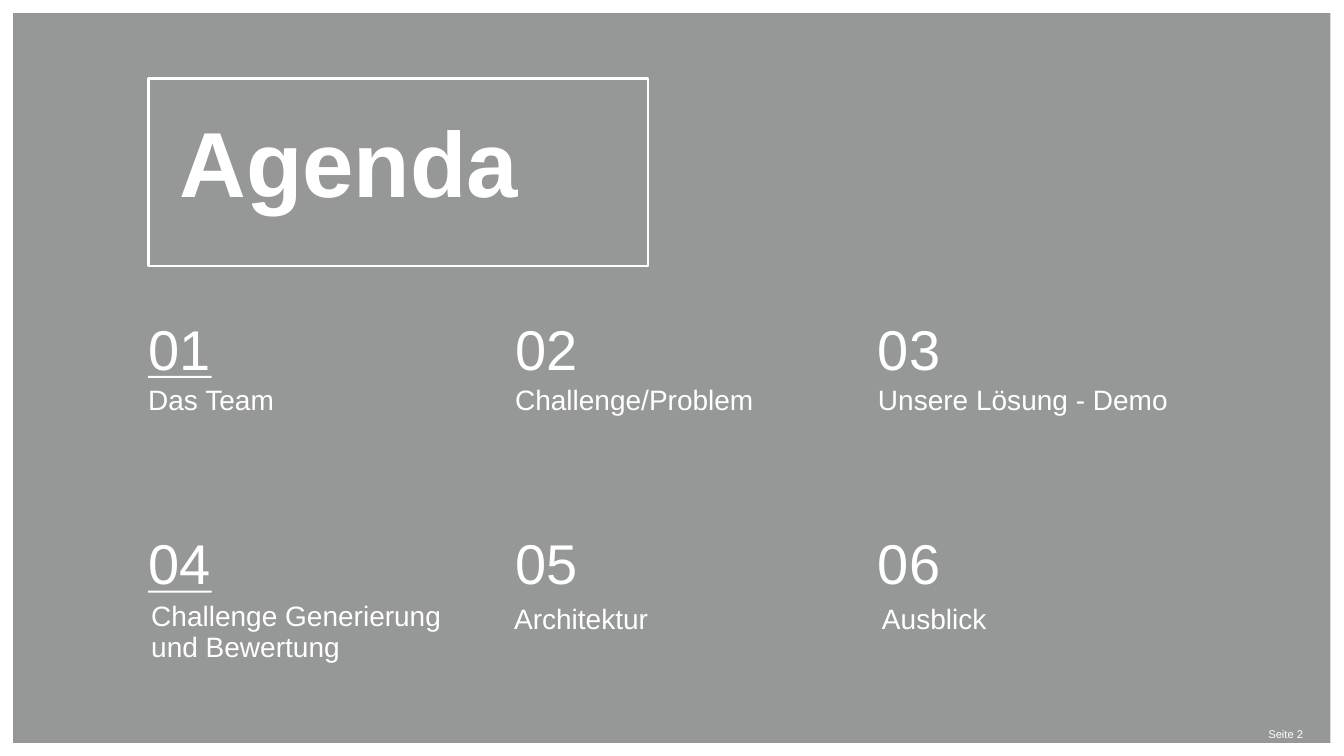
import pptx
import pptx.util
import pptx.dml.color
import pptx.enum.shapes
import pptx.enum.text
from dataclasses import dataclass

Pt = pptx.util.Pt
Align = pptx.enum.text.PP_ALIGN
Anchor = pptx.enum.text.MSO_ANCHOR


@dataclass(frozen=True)
class Theme:
    font: str = "Arial"
    grey: str = "969797"
    white: str = "FFFFFF"
    title: int = 66
    number: int = 40
    label: int = 20
    footer: int = 8


THEME = Theme()

# Grid of the agenda
COLS = (105.84, 367.92, 627.12)
ROWS = (230.4, 383.04)
WIDTH = 226.8

# Number, column, row, label, label left, label top
ITEMS = (
    ("01", 0, 0, "Das Team", 105.84, 275.76),
    ("02", 1, 0, "Challenge/Problem", 367.92, 275.76),
    ("03", 2, 0, "Unsere Lösung - Demo", 627.12, 275.76),
    ("04", 0, 1, "Challenge Generierung und Bewertung", 108, 430.56),
    ("05", 1, 1, "Architektur", 367.2, 432),
    ("06", 2, 1, "Ausblick", 630, 432),
)
RULES = (268.56, 421.92)


def color(code):
    return pptx.dml.color.RGBColor.from_string(code)


def add_rect(slide, left, top, width, height, fill=None, line=None):
    kind = pptx.enum.shapes.MSO_SHAPE.RECTANGLE
    rect = slide.shapes.add_shape(kind, Pt(left), Pt(top), Pt(width), Pt(height))
    rect.shadow.inherit = False
    if fill:
        rect.fill.solid()
        rect.fill.fore_color.rgb = color(fill)
    else:
        rect.fill.background()
    if line:
        rect.line.color.rgb = color(line)
        rect.line.width = Pt(2)
    else:
        rect.line.fill.background()
    return rect


def put_text(shape, text, size, bold=False, align=Align.LEFT,
             anchor=Anchor.TOP, pad=(0, 0), space=0.9):
    frame = shape.text_frame
    frame.word_wrap = True
    frame.vertical_anchor = anchor
    frame.margin_left = frame.margin_right = Pt(pad[0])
    frame.margin_top = frame.margin_bottom = Pt(pad[1])
    para = frame.paragraphs[0]
    para.alignment = align
    para.line_spacing = space
    run = para.add_run()
    run.text = text
    run.font.name = THEME.font
    run.font.size = Pt(size)
    run.font.bold = bold
    run.font.color.rgb = color(THEME.white)


def add_text(slide, left, top, width, height, text, size, **style):
    box = slide.shapes.add_textbox(Pt(left), Pt(top), Pt(width), Pt(height))
    put_text(box, text, size, **style)


def main():
    deck = pptx.Presentation()
    deck.slide_width, deck.slide_height = Pt(960), Pt(540)
    slide = deck.slides.add_slide(deck.slide_layouts[6])

    # Grey panel and framed title
    add_rect(slide, 9.36, 9.36, 941.04, 521.28, fill=THEME.grey)
    title = add_rect(slide, COLS[0], 56.16, 357.12, 133.92, line=THEME.white)
    put_text(title, "Agenda", THEME.title, bold=True, pad=(22.32, 28.08))

    # Agenda items
    for number, col, row, label, left, top in ITEMS:
        add_text(slide, COLS[col], ROWS[row], WIDTH, 39.6, number, THEME.number)
        add_text(slide, left, top, WIDTH, 73.44, label, THEME.label)

    # Rules under the first column's numbers
    for top in RULES:
        add_rect(slide, COLS[0], top, 45.36, 1.44, fill=THEME.white)

    # Page number
    add_text(slide, 873.36, 518.4, 57.6, 11.52, "Seite 2", THEME.footer,
             align=Align.RIGHT, anchor=Anchor.MIDDLE, pad=(0, 3.6), space=1.0)

    deck.save("out.pptx")


if __name__ == "__main__":
    main()
